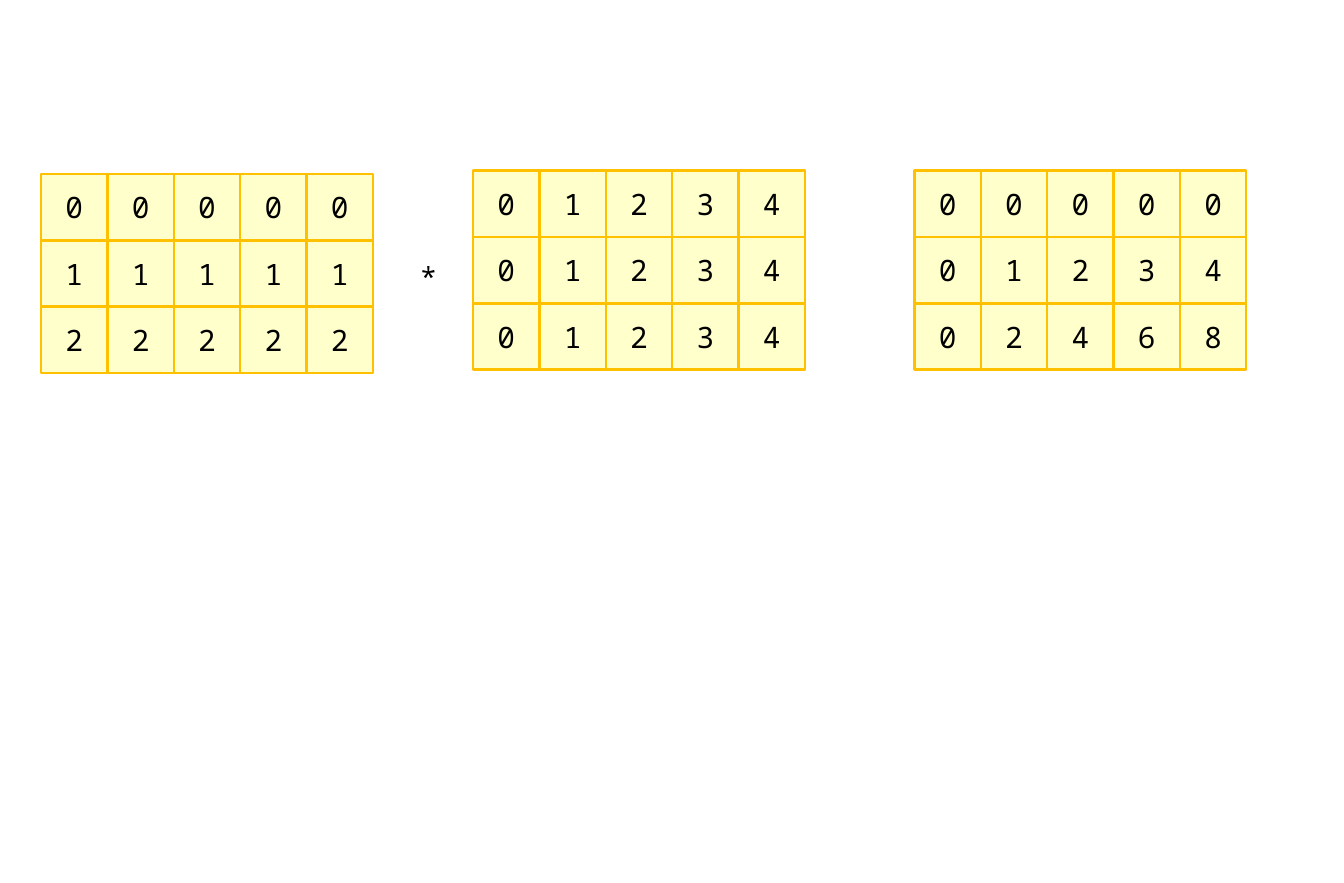
from pptx import Presentation
from pptx.dml.color import RGBColor
from pptx.enum.shapes import MSO_SHAPE
from pptx.enum.text import MSO_ANCHOR, MSO_AUTO_SIZE, PP_ALIGN
from pptx.util import Inches, Pt

RECTANGLE = MSO_SHAPE.RECTANGLE
MIDDLE = MSO_ANCHOR.MIDDLE
CENTER = PP_ALIGN.CENTER
GROW = MSO_AUTO_SIZE.SHAPE_TO_FIT_TEXT

GRID_UNIT = Pt(40.6)
ROWS, COLUMNS = 3, 5
MATRICES = [
    (0.62, 2.62, lambda row, column: row),
    (7.13, 2.57, lambda row, column: column),
    (13.78, 2.57, lambda row, column: row * column),
]


def color(hex_string):
    return RGBColor.from_string(hex_string)


def set_format(target, values):
    for name, value in values.items():
        setattr(target, name, value)


class MatrixSlide:
    font = {"name": "Noto Sans Mono", "size": Pt(18)}
    text_color = "000000"
    cell_fill = "FFFFCC"
    cell_line = "FFC000"
    line_width = Pt(1.5)

    def __init__(self, slide):
        self.slide = slide

    def place(self, *lengths):
        return [round(length * GRID_UNIT) for length in lengths]

    def add_text(self, shape, text, frame_format, paragraph_format):
        set_format(shape.text_frame, frame_format)
        paragraph = shape.text_frame.paragraphs[0]
        set_format(paragraph, paragraph_format)
        run = paragraph.add_run()
        run.text = text
        set_format(run.font, self.font)
        run.font.color.rgb = color(self.text_color)

    def cell(self, left, top, text):
        shape = self.slide.shapes.add_shape(RECTANGLE, *self.place(left, top, 1, 1))
        shape.shadow.inherit = False
        shape.fill.solid()
        shape.fill.fore_color.rgb = color(self.cell_fill)
        shape.line.color.rgb = color(self.cell_line)
        shape.line.width = self.line_width
        self.add_text(shape, text, {"vertical_anchor": MIDDLE}, {"alignment": CENTER})

    def matrix(self, left, top, value):
        for row in range(ROWS):
            for column in range(COLUMNS):
                self.cell(left + column, top + row, str(value(row, column)))

    def operator(self, left, top, width, height, text):
        shape = self.slide.shapes.add_textbox(*self.place(left, top, width, height))
        self.add_text(shape, text, {"word_wrap": False, "auto_size": GROW}, {"line_spacing": 1.3})


def main():
    presentation = Presentation()
    set_format(presentation, {"slide_width": Inches(11.42), "slide_height": Inches(7.5)})
    page = MatrixSlide(presentation.slides.add_slide(presentation.slide_layouts[6]))
    for left, top, value in MATRICES:
        page.matrix(left, top, value)
    page.operator(6.15, 3.65, 0.6, 0.82, "*")
    presentation.save("out.pptx")


if __name__ == "__main__":
    main()
